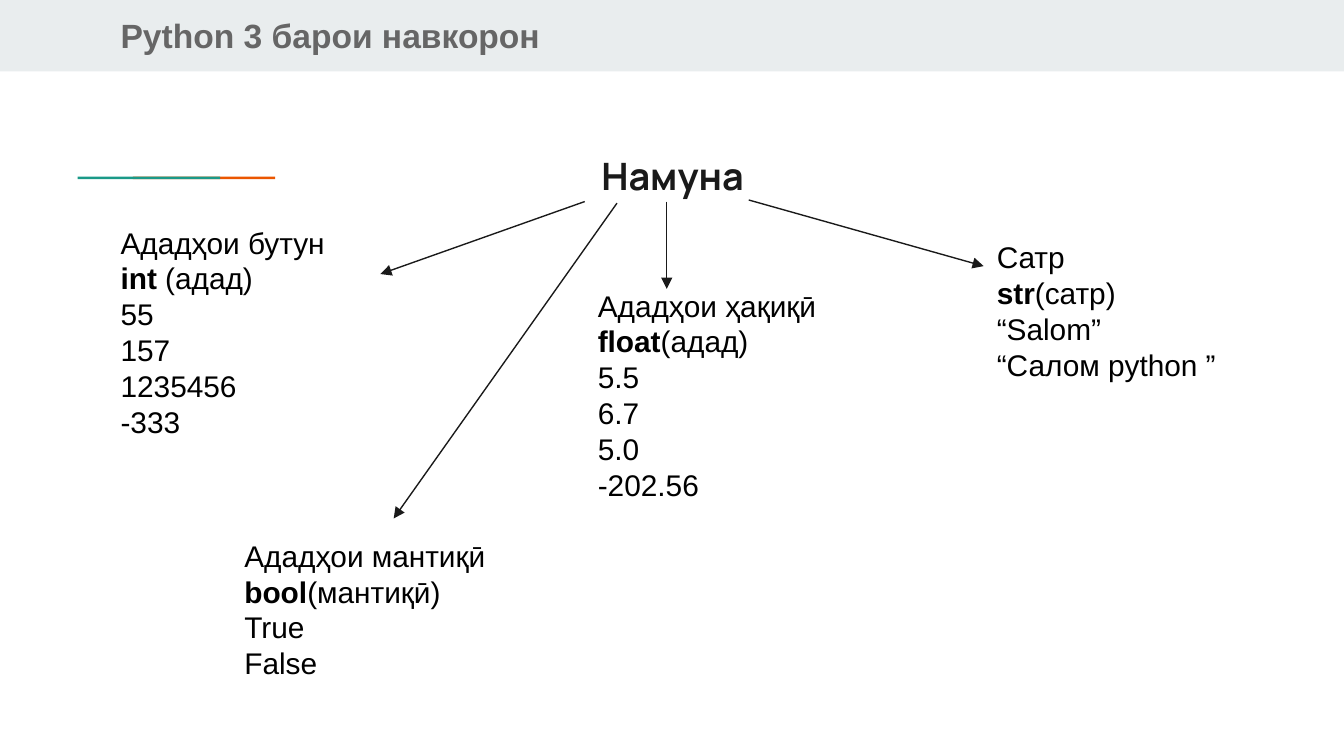
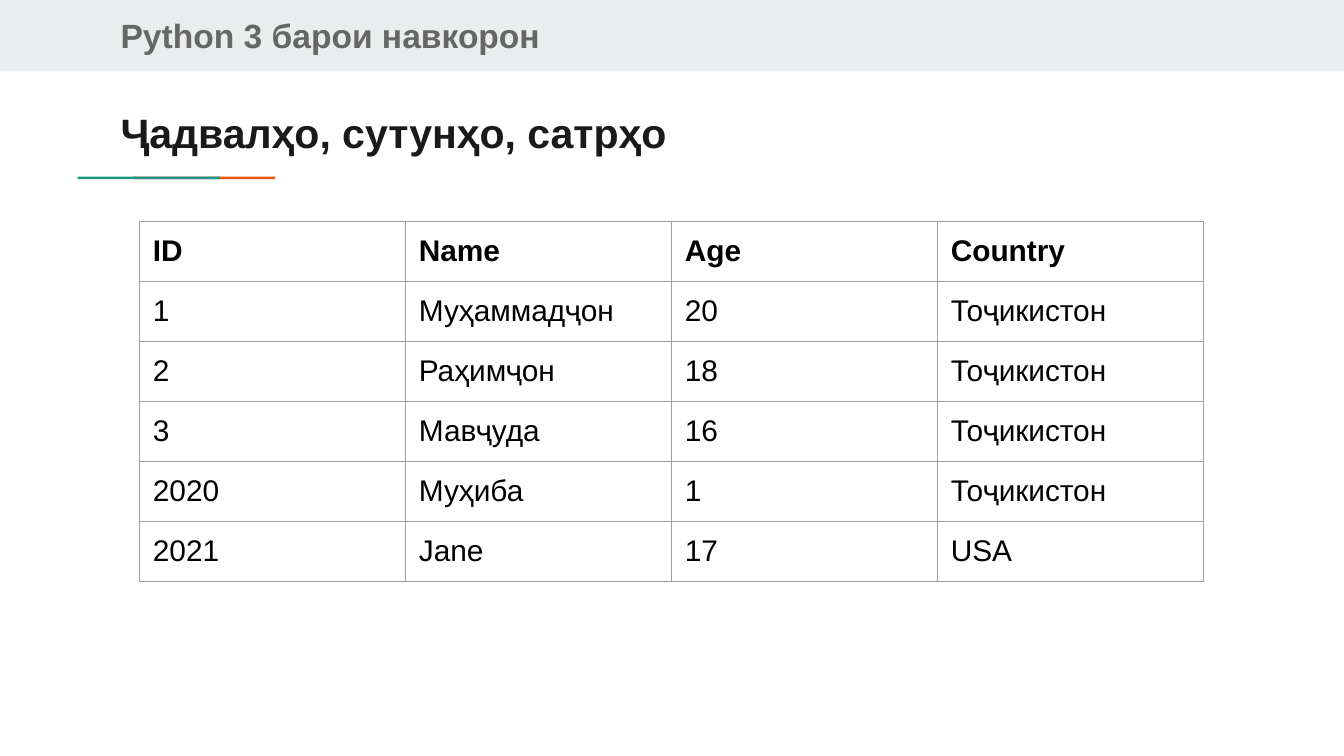
from lxml import etree
from pptx import Presentation
from pptx.dml.color import RGBColor
from pptx.enum.shapes import MSO_CONNECTOR, MSO_SHAPE
from pptx.enum.text import MSO_ANCHOR, MSO_AUTO_SIZE, PP_ALIGN
from pptx.oxml.ns import qn
from pptx.util import Cm, Pt

RECTANGLE = MSO_SHAPE.RECTANGLE
STRAIGHT = MSO_CONNECTOR.STRAIGHT
TOP, MIDDLE = MSO_ANCHOR.TOP, MSO_ANCHOR.MIDDLE
LEFT, CENTER = PP_ALIGN.LEFT, PP_ALIGN.CENTER
NO_AUTOFIT = MSO_AUTO_SIZE.NONE

COLORS = {
    "band": "E9EDEE", "teal": "1A9988", "orange": "EB5600",
    "header": "666666", "dark": "1A1A1A", "text": "000000", "grid": "9E9E9E",
}
HEADER_FONT = {"name": "Arial", "size": Pt(18), "bold": True, "color": "header"}
TITLE_FONT = {"name": "Arial", "size": Pt(22), "bold": True, "color": "dark"}
ROOT_FONT = {"name": "Manrope", "size": Pt(20.2), "bold": True, "color": "dark"}
TEXT_FONT = {"name": "Arial", "size": Pt(16), "bold": False, "color": "text"}
BOLD_FONT = {**TEXT_FONT, "bold": True}

INSET = Cm(0.25)
SLIDE_WIDTH, SLIDE_HEIGHT = 25.4, 14.29
CONTENT_LEFT, CONTENT_WIDTH = 2.03, 21.36

# Each type: box, heading, keyword, argument, examples
DATA_TYPES = [
    ((2.03, 3.99, 5.94, 4.62), "Ададҳои бутун", "int ", "(адад)",
     ["55", "157", "1235456", "-333"]),
    ((11.05, 5.18, 6.1, 4.62), "Ададҳои ҳақиқӣ", "float", "(адад)",
     ["5.5", "6.7", "5.0", "-202.56"]),
    ((18.59, 4.27, 5.59, 3.25), "Сатр", "str", "(сатр)",
     ["“Salom”", "“Салом python ”"]),
    ((4.37, 9.91, 5.59, 3.25), "Ададҳои мантиқӣ", "bool", "(мантиқӣ)",
     ["True", "False"]),
]
# Start and end of each arrow that leaves the root word
ARROWS = [
    ((14.15, 3.78), (18.59, 5.03)),
    ((11.05, 3.81), (7.19, 5.18)),
    ((12.6, 3.81), (12.6, 5.46)),
    ((11.66, 3.84), (7.44, 9.8)),
]
TABLE_ROWS = [
    ["ID", "Name", "Age", "Country"],
    ["1", "Муҳаммадҷон", "20", "Тоҷикистон"],
    ["2", "Раҳимҷон", "18", "Тоҷикистон"],
    ["3", "Мавҷуда", "16", "Тоҷикистон"],
    ["2020", "Муҳиба", "1", "Тоҷикистон"],
    ["2021", "Jane", "17", "USA"],
]


def color(name):
    return RGBColor.from_string(COLORS[name])


def write_paragraph(paragraph, runs, alignment=LEFT):
    """Fill a paragraph with (text, font format) pairs."""
    paragraph.alignment = alignment
    paragraph.space_before = Pt(0)
    for text, font_format in runs:
        run = paragraph.add_run()
        run.text = text
        for attribute, value in font_format.items():
            if attribute == "color":
                run.font.color.rgb = color(value)
            else:
                setattr(run.font, attribute, value)


def write_frame(text_frame, paragraphs, alignment=LEFT, anchor=TOP):
    frame_format = {
        "word_wrap": True, "auto_size": NO_AUTOFIT, "vertical_anchor": anchor,
        "margin_left": INSET, "margin_right": INSET,
        "margin_top": INSET, "margin_bottom": INSET,
    }
    for attribute, value in frame_format.items():
        setattr(text_frame, attribute, value)
    for index, runs in enumerate(paragraphs):
        paragraph = text_frame.add_paragraph() if index else text_frame.paragraphs[0]
        write_paragraph(paragraph, runs, alignment)


def place(shape, box):
    for attribute, value in zip(("left", "top", "width", "height"), box):
        setattr(shape, attribute, Cm(value))


def add_text(slide, box, paragraphs, anchor=TOP):
    text_box = slide.shapes.add_textbox(*map(Cm, box))
    write_frame(text_box.text_frame, paragraphs, anchor=anchor)


def add_bar(slide, box, fill):
    bar = slide.shapes.add_shape(RECTANGLE, *map(Cm, box))
    bar.shadow.inherit = False
    bar.fill.solid()
    bar.fill.fore_color.rgb = color(fill)
    bar.line.fill.background()


def add_arrow(slide, start, end):
    arrow = slide.shapes.add_connector(STRAIGHT, *map(Cm, start + end))
    arrow.line.color.rgb = color("dark")
    arrow.line.width = Pt(0.75)
    etree.SubElement(arrow.line._get_or_add_ln(), qn("a:tailEnd"), type="triangle")
    etree.SubElement(arrow._element.spPr, qn("a:effectLst"))


def add_frame(slide):
    """Header band, running title and two-colour accent line."""
    add_bar(slide, (0, 0, SLIDE_WIDTH, 1.35), "band")
    add_bar(slide, (2.51, 3.34, 2.69, 0.05), "orange")
    add_bar(slide, (1.47, 3.34, 2.69, 0.05), "teal")
    add_text(slide, (CONTENT_LEFT, -0.08, 15.44, 1.5),
             [[("Python 3 барои навкорон", HEADER_FONT)]], MIDDLE)


def add_type_box(slide, box, heading, keyword, argument, examples):
    paragraphs = [
        [(heading, TEXT_FONT)],
        [(keyword, BOLD_FONT), (argument, TEXT_FONT)],
    ]
    paragraphs += [[(example, TEXT_FONT)] for example in examples]
    add_text(slide, box, paragraphs)


def border_cell(cell):
    properties = cell._tc.get_or_add_tcPr()
    for side in ("lnL", "lnR", "lnT", "lnB"):
        line = etree.SubElement(properties, qn(f"a:{side}"), w=str(Pt(0.75)))
        fill = etree.SubElement(line, qn("a:solidFill"))
        etree.SubElement(fill, qn("a:srgbClr"), val=COLORS["grid"])


def add_people_table(slide, box, rows):
    frame = slide.shapes.add_table(len(rows), len(rows[0]), *map(Cm, box))
    table = frame.table
    table.first_row = table.horz_banding = False
    for row_index, row in enumerate(rows):
        font_format = TEXT_FONT if row_index else BOLD_FONT
        for column_index, text in enumerate(row):
            cell = table.cell(row_index, column_index)
            border_cell(cell)
            cell.fill.background()
            for side in ("left", "right", "top", "bottom"):
                setattr(cell, f"margin_{side}", INSET)
            write_paragraph(cell.text_frame.paragraphs[0], [(text, font_format)])


def build_types_slide(presentation):
    slide = presentation.slides.add_slide(presentation.slide_layouts[1])
    title, body = slide.placeholders
    title._element.getparent().remove(title._element)
    add_frame(slide)

    # Root word
    place(body, (CONTENT_LEFT, 2.64, CONTENT_WIDTH, 11.38))
    write_frame(body.text_frame, [[("Намуна", ROOT_FONT)]], CENTER)
    properties = body.text_frame.paragraphs[0]._p.get_or_add_pPr()
    properties.set("marL", "0")
    properties.set("indent", "0")
    etree.SubElement(properties, qn("a:buNone"))

    # Branches
    for start, end in ARROWS:
        add_arrow(slide, start, end)
    for data_type in DATA_TYPES:
        add_type_box(slide, *data_type)


def build_table_slide(presentation):
    slide = presentation.slides.add_slide(presentation.slide_layouts[5])
    add_frame(slide)
    add_people_table(slide, (2.64, 4.19, 20.11, 6.8), TABLE_ROWS)
    title = slide.shapes.title
    place(title, (CONTENT_LEFT, 1.78, CONTENT_WIDTH, 1.5))
    write_frame(title.text_frame, [[("Ҷадвалҳо, сутунҳо, сатрҳо", TITLE_FONT)]])


def main():
    presentation = Presentation()
    presentation.slide_width = Cm(SLIDE_WIDTH)
    presentation.slide_height = Cm(SLIDE_HEIGHT)
    build_types_slide(presentation)
    build_table_slide(presentation)
    presentation.save("out.pptx")


if __name__ == "__main__":
    main()
